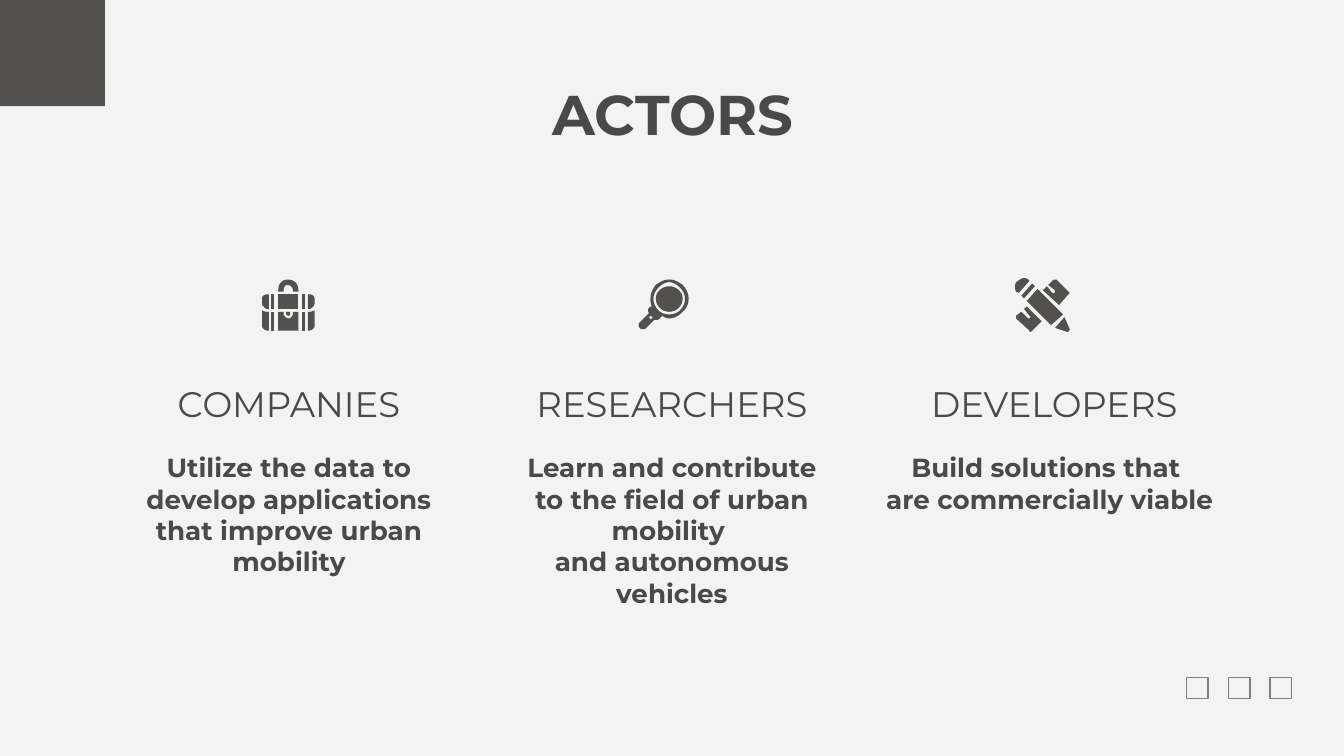
import dataclasses
import typing

import pptx
import pptx.dml.color
import pptx.enum.shapes
import pptx.enum.text
import pptx.util

Inches = pptx.util.Inches
Anchor = pptx.enum.text.MSO_ANCHOR
Point = tuple[float, float]

DARK = "52514D"
INK = "494949"
OUTLINE = "807F7A"
BACKGROUND = "F3F3F3"
FONT = "Montserrat"
CURVE_STEPS = 8
BAG_CENTER = 2.145


@dataclasses.dataclass
class Box:
    left: float
    top: float
    width: float
    height: float


@dataclasses.dataclass
class Actor:
    name: str
    name_box: Box
    lines: list[str]
    lines_left: float
    icon: list[str]


def bar(left: float, top: float, right: float, bottom: float) -> str:
    return f"M {left} {top} L {right} {top} L {right} {bottom} L {left} {bottom}"


def mirrored(outline: str, center: float) -> str:
    result = []
    horizontal = True
    for token in outline.split():
        if token.isalpha():
            result.append(token)
            continue
        result.append(f"{2 * center - float(token):.2f}" if horizontal else token)
        horizontal = not horizontal
    return " ".join(result)


BAG_SIDE = [
    bar(2.02, 2.19, 2.04, 2.3),
    bar(2.02, 2.32, 2.04, 2.46),
    "M 1.99 2.19 C 1.97 2.19 1.95 2.2 1.95 2.22 L 1.95 2.26 "
    "C 1.95 2.27 1.96 2.28 1.97 2.29 C 1.98 2.3 1.99 2.3 2 2.3 L 2 2.19",
    "M 1.95 2.31 L 1.95 2.43 C 1.95 2.44 1.97 2.46 1.99 2.46 L 2 2.46 L 2 2.32 "
    "C 1.98 2.32 1.97 2.32 1.95 2.31",
]
BRIEFCASE = BAG_SIDE + [mirrored(outline, BAG_CENTER) for outline in BAG_SIDE] + [
    bar(2.07, 2.19, 2.22, 2.3),
    "M 2.13 2.32 L 2.13 2.34 C 2.13 2.34 2.14 2.35 2.15 2.35 "
    "C 2.15 2.35 2.16 2.34 2.16 2.34 L 2.16 2.32",
    "M 2.07 2.32 L 2.07 2.46 L 2.22 2.46 L 2.22 2.32 L 2.18 2.32 L 2.18 2.34 "
    "C 2.18 2.35 2.16 2.37 2.15 2.37 C 2.13 2.37 2.11 2.35 2.11 2.34 L 2.11 2.32",
    "M 2.14 2.08 C 2.1 2.08 2.07 2.11 2.07 2.16 L 2.07 2.17 L 2.11 2.17 L 2.11 2.16 "
    "C 2.11 2.14 2.12 2.12 2.14 2.12 C 2.16 2.12 2.18 2.14 2.18 2.16 L 2.18 2.17 "
    "L 2.22 2.17 L 2.22 2.16 C 2.22 2.11 2.19 2.08 2.14 2.08",
]
MAGNIFIER = [
    "M 4.98 2.1 C 5.01 2.1 5.04 2.12 5.06 2.14 C 5.11 2.19 5.11 2.26 5.06 2.31 "
    "C 5.04 2.33 5.01 2.34 4.98 2.34 C 4.95 2.34 4.92 2.33 4.9 2.31 "
    "C 4.85 2.26 4.85 2.19 4.9 2.14 C 4.92 2.12 4.95 2.1 4.98 2.1 "
    "M 4.84 2.35 L 4.86 2.36 L 4.84 2.38 L 4.83 2.36 "
    "M 4.98 2.08 C 4.94 2.08 4.91 2.1 4.88 2.12 C 4.84 2.17 4.83 2.23 4.85 2.28 "
    "L 4.83 2.29 C 4.82 2.3 4.82 2.32 4.83 2.33 L 4.76 2.4 "
    "C 4.75 2.41 4.75 2.43 4.76 2.44 C 4.77 2.45 4.77 2.45 4.78 2.45 "
    "C 4.79 2.45 4.8 2.45 4.81 2.44 L 4.87 2.38 C 4.88 2.38 4.88 2.38 4.89 2.38 "
    "C 4.9 2.38 4.9 2.38 4.91 2.37 L 4.93 2.35 C 4.94 2.36 4.96 2.37 4.98 2.37 "
    "C 5.02 2.37 5.05 2.35 5.08 2.32 C 5.14 2.27 5.14 2.18 5.08 2.12 "
    "C 5.05 2.1 5.02 2.08 4.98 2.08",
    "M 4.98 2.13 C 4.93 2.13 4.88 2.17 4.88 2.22 C 4.88 2.28 4.93 2.32 4.98 2.32 "
    "C 5.03 2.32 5.08 2.28 5.08 2.22 C 5.08 2.17 5.03 2.13 4.98 2.13",
]
PENCIL_AND_RULER = [
    "M 7.68 2.11 L 7.6 2.2 L 7.62 2.22 L 7.7 2.13",
    "M 7.85 2.08 C 7.84 2.08 7.84 2.08 7.84 2.08 L 7.8 2.12 L 7.85 2.16 "
    "C 7.85 2.17 7.85 2.18 7.85 2.18 C 7.85 2.18 7.84 2.18 7.84 2.18 "
    "C 7.84 2.18 7.83 2.18 7.83 2.18 L 7.79 2.13 L 7.76 2.16 L 7.88 2.27 L 7.95 2.19 "
    "C 7.96 2.19 7.96 2.18 7.95 2.17 L 7.86 2.08",
    "M 7.72 2.15 L 7.64 2.24 L 7.82 2.42 L 7.91 2.34",
    "M 7.92 2.36 L 7.85 2.44 L 7.94 2.47 C 7.95 2.47 7.96 2.46 7.96 2.45",
    "M 7.64 2.28 L 7.62 2.3 L 7.66 2.35 C 7.67 2.35 7.67 2.36 7.66 2.37 "
    "C 7.65 2.37 7.65 2.37 7.65 2.37 L 7.6 2.32 L 7.56 2.35 "
    "C 7.56 2.36 7.56 2.37 7.56 2.37 L 7.66 2.46 C 7.66 2.47 7.66 2.47 7.67 2.47 "
    "C 7.67 2.47 7.67 2.47 7.68 2.46 L 7.75 2.39",
    "M 7.62 2.07 C 7.61 2.07 7.6 2.07 7.59 2.08 L 7.56 2.1 C 7.55 2.12 7.55 2.15 7.56 2.17 "
    "L 7.58 2.18 L 7.66 2.09 L 7.65 2.08 C 7.64 2.07 7.63 2.07 7.62 2.07",
]
ACTORS = [
    Actor("COMPANIES", Box(0.78, 2.45, 2.74, 0.81),
          ["Utilize the data to develop applications that improve urban mobility"],
          0.76, BRIEFCASE),
    Actor("RESEARCHERS", Box(3.63, 2.45, 2.74, 0.81),
          [" Learn and contribute ", "to the field of urban mobility ", "and autonomous vehicles"],
          3.61, MAGNIFIER),
    Actor("DEVELOPERS", Box(6.36, 2.45, 2.97, 0.81),
          ["Build solutions that ", "are commercially viable"],
          6.42, PENCIL_AND_RULER),
]


def color(value: str) -> pptx.dml.color.RGBColor:
    return pptx.dml.color.RGBColor.from_string(value)


def paint(shape: typing.Any, fill: str | None = None, line: str | None = None) -> None:
    shape.shadow.inherit = False
    if fill:
        shape.fill.solid()
        shape.fill.fore_color.rgb = color(fill)
    else:
        shape.fill.background()
    if line:
        shape.line.color.rgb = color(line)
        shape.line.width = pptx.util.Pt(0.75)
    else:
        shape.line.fill.background()


def place(shape: typing.Any, box: Box) -> None:
    shape.left, shape.top = Inches(box.left), Inches(box.top)
    shape.width, shape.height = Inches(box.width), Inches(box.height)


def add_square(shapes: typing.Any, box: Box, fill: str | None = None, line: str | None = None) -> None:
    square = shapes.add_shape(pptx.enum.shapes.MSO_SHAPE.RECTANGLE, 0, 0, 0, 0)
    place(square, box)
    paint(square, fill, line)


def write(shape: typing.Any, lines: list[str], size: int, bold: bool, anchor: Anchor) -> None:
    frame = shape.text_frame
    frame.word_wrap = True
    frame.auto_size = pptx.enum.text.MSO_AUTO_SIZE.NONE
    frame.vertical_anchor = anchor
    frame.margin_left = frame.margin_right = frame.margin_top = frame.margin_bottom = Inches(0.1)
    frame.text = "\n".join(lines)
    for paragraph in frame.paragraphs:
        paragraph.alignment = pptx.enum.text.PP_ALIGN.CENTER
        paragraph.line_spacing = 1.0
        paragraph.space_before = pptx.util.Pt(0)
        paragraph.font.name = FONT
        paragraph.font.size = pptx.util.Pt(size)
        paragraph.font.bold = bold
        paragraph.font.color.rgb = color(INK)


def curve(start: Point, first: Point, second: Point, end: Point) -> list[Point]:
    points = []
    for step in range(1, CURVE_STEPS + 1):
        t = step / CURVE_STEPS
        weights = ((1 - t) ** 3, 3 * t * (1 - t) ** 2, 3 * t * t * (1 - t), t ** 3)
        corners = (start, first, second, end)
        points.append((sum(w * c[0] for w, c in zip(weights, corners)),
                       sum(w * c[1] for w, c in zip(weights, corners))))
    return points


def contours(outline: str) -> list[list[Point]]:
    result: list[list[Point]] = []
    tokens = iter(outline.split())
    for command in tokens:
        count = 3 if command == "C" else 1
        points = [(float(next(tokens)), float(next(tokens))) for _ in range(count)]
        if command == "M":
            result.append(points)
        elif command == "L":
            result[-1].extend(points)
        else:
            result[-1].extend(curve(result[-1][-1], *points))
    return result


def add_icon(page: typing.Any, outlines: list[str]) -> None:
    group = page.shapes.add_group_shape()
    for outline in outlines:
        loops = [[(Inches(x), Inches(y)) for x, y in loop] for loop in contours(outline)]
        builder = group.shapes.build_freeform(*loops[0][0])
        for index, loop in enumerate(loops):
            if index:
                builder.move_to(*loop[0])
            builder.add_line_segments(loop[1:], close=True)
        paint(builder.convert_to_shape(), DARK)


def add_actor(page: typing.Any, actor: Actor) -> None:
    for box, lines, size, bold, anchor in (
        (actor.name_box, [actor.name], 19, False, Anchor.BOTTOM),
        (Box(actor.lines_left, 3.26, 2.78, 1.21), actor.lines, 14, True, Anchor.TOP),
    ):
        label = page.shapes.add_textbox(0, 0, 0, 0)
        place(label, box)
        write(label, lines, size, bold, anchor)
    add_icon(page, actor.icon)


def main() -> None:
    deck = pptx.Presentation()
    deck.slide_width, deck.slide_height = Inches(10), Inches(10) * 9 // 16
    page = deck.slides.add_slide(deck.slide_layouts[5])
    page.background.fill.solid()
    page.background.fill.fore_color.rgb = color(BACKGROUND)
    add_square(page.shapes, Box(0, 0, 0.78, 0.79), fill=DARK)
    for index in range(3):
        add_square(page.shapes, Box(8.83 + 0.31 * index, 5.04, 0.16, 0.16), line=OUTLINE)
    title = page.shapes.title
    place(title, Box(0.79, 0.49, 8.43, 0.63))
    write(title, ["ACTORS"], 30, True, Anchor.TOP)
    for actor in ACTORS:
        add_actor(page, actor)
    deck.save("out.pptx")


if __name__ == "__main__":
    main()
